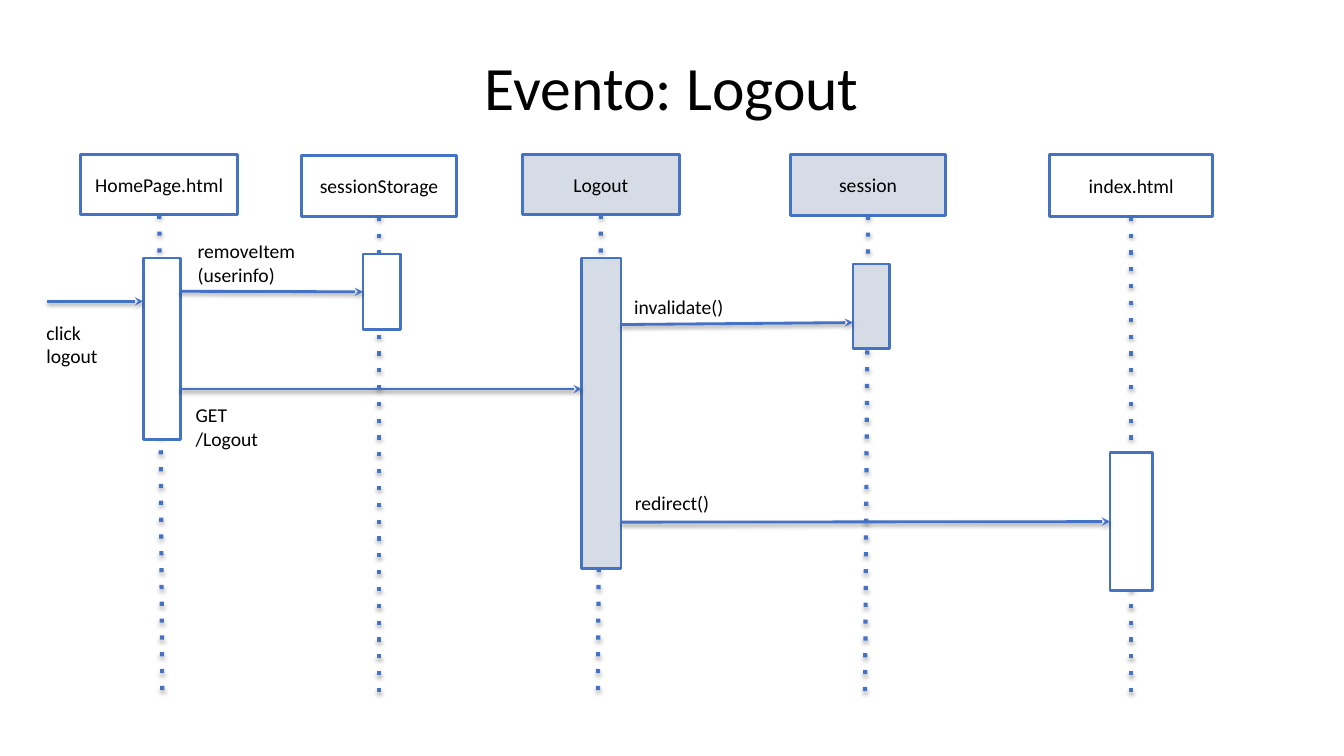
from dataclasses import dataclass

from lxml import etree
from pptx import Presentation
from pptx.dml.color import RGBColor
from pptx.enum.shapes import MSO_CONNECTOR, MSO_SHAPE
from pptx.enum.text import MSO_ANCHOR, PP_ALIGN
from pptx.oxml.ns import qn
from pptx.util import Inches, Pt

RECTANGLE = MSO_SHAPE.RECTANGLE
STRAIGHT = MSO_CONNECTOR.STRAIGHT
LEFT, CENTER = PP_ALIGN.LEFT, PP_ALIGN.CENTER
TOP, MIDDLE = MSO_ANCHOR.TOP, MSO_ANCHOR.MIDDLE
LEFT_SIDE, BOTTOM_SIDE = 1, 2


@dataclass(frozen=True)
class Theme:
    font: str = "Calibri"
    text: RGBColor = RGBColor(0, 0, 0)
    outline: RGBColor = RGBColor(0x44, 0x72, 0xC4)
    client: RGBColor = RGBColor(0xFF, 0xFF, 0xFF)
    server: RGBColor = RGBColor(0xD6, 0xDC, 0xE5)
    shadow: str = "000000"
    title_size: int = 44
    label_size: int = 14
    outline_width: int = 2
    lifeline_width: int = 3


def set_attributes(target, values):
    for name, value in values.items():
        setattr(target, name, value)


class SequenceDiagram:
    def __init__(self, slide, theme):
        self.slide = slide
        self.theme = theme

    def add_text(self, shape, text, size, align, anchor):
        """Fill the shape's text frame; a newline starts a paragraph, \\v a line break."""
        frame = shape.text_frame
        set_attributes(frame, {
            "word_wrap": True, "vertical_anchor": anchor, "text": text,
            "margin_left": Inches(0.12), "margin_right": Inches(0.12),
            "margin_top": Inches(0.06), "margin_bottom": Inches(0.06),
        })
        for paragraph in frame.paragraphs:
            paragraph.alignment = align
            for run in paragraph.runs:
                set_attributes(run.font, {"name": self.theme.font, "size": Pt(size)})
                run.font.color.rgb = self.theme.text

    def label(self, text, bounds, size=None, align=LEFT, anchor=TOP):
        box = self.slide.shapes.add_textbox(*map(Inches, bounds))
        self.add_text(box, text, size or self.theme.label_size, align, anchor)

    def box(self, bounds, fill, text=None):
        shape = self.slide.shapes.add_shape(RECTANGLE, *map(Inches, bounds))
        shape.shadow.inherit = False
        shape.fill.solid()
        shape.fill.fore_color.rgb = fill
        shape.line.color.rgb = self.theme.outline
        shape.line.width = Pt(self.theme.outline_width)
        if text:
            self.add_text(shape, text, self.theme.label_size, CENTER, MIDDLE)
        return shape

    def connector(self, start, end, width, shadow_alpha, shadow_distance):
        connector = self.slide.shapes.add_connector(
            STRAIGHT, *map(Inches, (*start, *end)))
        connector.line.color.rgb = self.theme.outline
        connector.line.width = Pt(width)
        effects = etree.SubElement(connector.element.spPr, qn("a:effectLst"))
        shadow = etree.SubElement(effects, qn("a:outerShdw"), {
            "blurRad": str(Pt(3.1)), "dist": str(Pt(shadow_distance)),
            "dir": str(90 * 60000), "rotWithShape": "0",
        })
        color = etree.SubElement(shadow, qn("a:srgbClr"), val=self.theme.shadow)
        etree.SubElement(color, qn("a:alpha"), val=str(shadow_alpha * 1000))
        return connector

    def participant(self, name, header, lifeline_end, activation, fill):
        """Draw the header, its dotted lifeline and the activation bar, which is returned."""
        left, top, width, height = header
        header_box = self.box(header, fill, name)
        lifeline = self.connector((left + width / 2, top + height), lifeline_end,
                                  self.theme.lifeline_width, 35, 1.8)
        lifeline.begin_connect(header_box, BOTTOM_SIDE)
        etree.SubElement(lifeline.get_or_add_ln(), qn("a:prstDash"), val="dot")
        return self.box(activation, fill)

    def message(self, start, end, target=None):
        """Draw an arrow, joined to the middle of the target's left side if one is given."""
        arrow = self.connector(start, end, self.theme.outline_width, 38, 1.6)
        etree.SubElement(arrow.get_or_add_ln(), qn("a:tailEnd"), type="stealth")
        if target is not None:
            arrow.end_connect(target, LEFT_SIDE)


def main():
    presentation = Presentation()
    set_attributes(presentation, {"slide_width": Inches(13.33),
                                  "slide_height": Inches(7.5)})
    slide = presentation.slides.add_slide(presentation.slide_layouts[6])
    theme = Theme()
    diagram = SequenceDiagram(slide, theme)

    diagram.label("Evento: Logout", (1.79, 0.3, 9.75, 1.1),
                  theme.title_size, CENTER, MIDDLE)

    participants = [
        ("HomePage.html", (0.8, 1.53, 1.56, 0.6), (1.61, 6.97),
         (1.42, 2.56, 0.37, 1.8), theme.client),
        ("sessionStorage", (2.99, 1.54, 1.54, 0.61), (3.76, 6.97),
         (3.6, 2.52, 0.37, 0.75), theme.client),
        ("Logout", (5.18, 1.53, 1.56, 0.6), (5.93, 6.86),
         (5.77, 2.56, 0.39, 3.08), theme.server),
        ("session", (7.84, 1.53, 1.54, 0.61), (8.58, 6.86),
         (8.46, 2.62, 0.36, 0.84), theme.server),
        ("index.html", (10.41, 1.53, 1.62, 0.62), (11.22, 6.97),
         (11.01, 4.49, 0.42, 1.37), theme.client),
    ]
    activations = {entry[0]: diagram.participant(*entry) for entry in participants}

    messages = [
        ((0.47, 2.99), (1.42, 2.99), None),
        ((1.79, 2.89), (3.6, 2.89), "sessionStorage"),
        ((1.79, 3.86), (5.77, 3.86), None),
        ((6.16, 3.22), (8.46, 3.2), None),
        ((6.16, 5.18), (11.01, 5.18), "index.html"),
    ]
    for start, end, target in messages:
        diagram.message(start, end, activations.get(target))

    labels = [
        ("click\nlogout", (0.34, 3.12, 1.37, 0.75), LEFT),
        ("removeItem\v(userinfo)", (1.84, 2.31, 1.3, 0.58), LEFT),
        ("GET\n/Logout", (1.82, 3.94, 1.37, 0.75), LEFT),
        ("invalidate()", (6.17, 2.87, 1.9, 0.34), LEFT),
        ("redirect()", (5.41, 4.81, 2.51, 0.37), CENTER),
    ]
    for text, bounds, align in labels:
        diagram.label(text, bounds, align=align)

    presentation.save("out.pptx")


if __name__ == "__main__":
    main()
